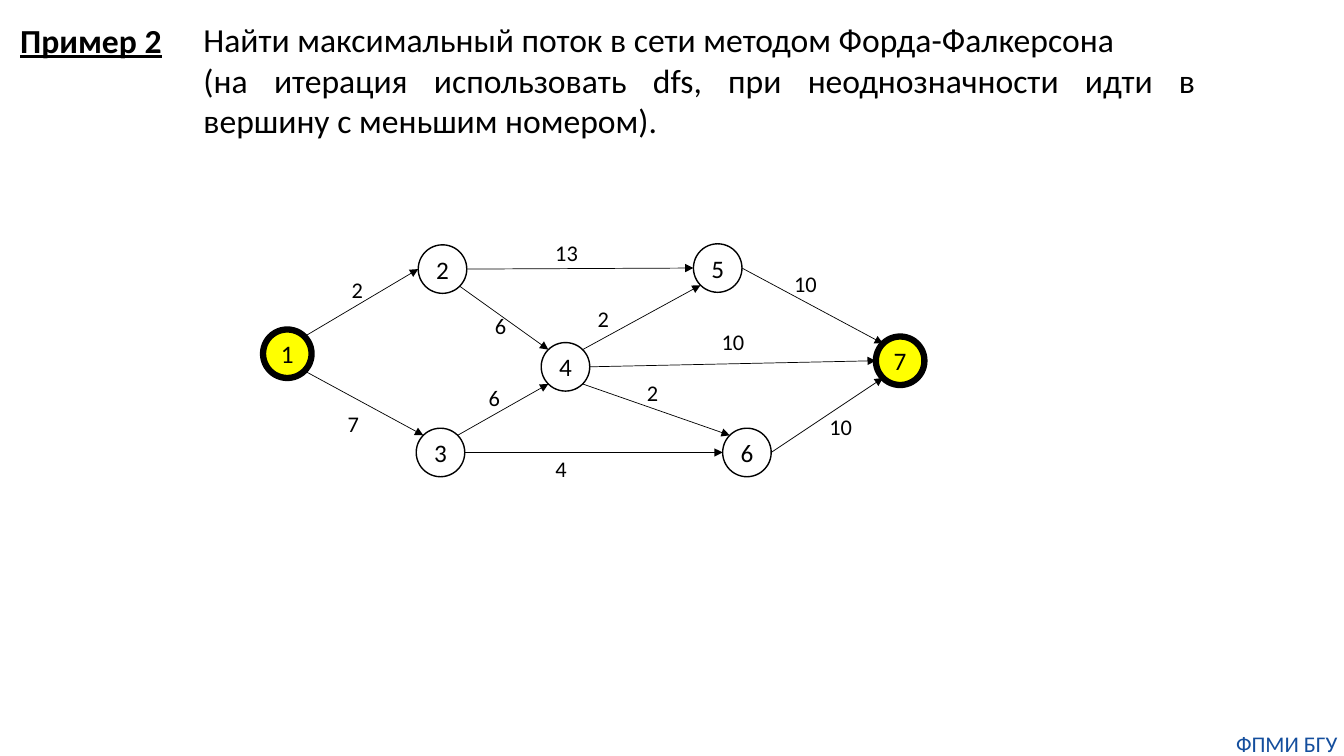
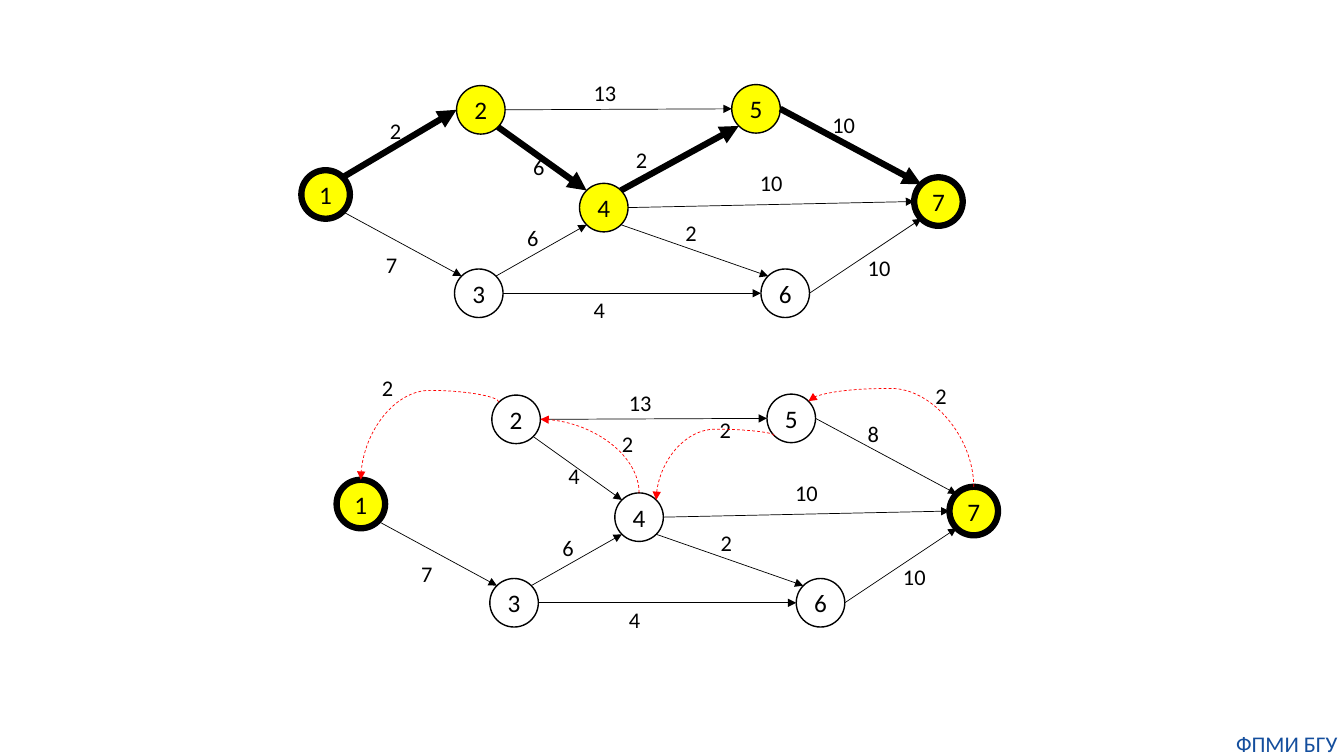
"""Build two slides on finding the maximum flow in a network."""
from dataclasses import dataclass
from math import sqrt

from lxml.etree import SubElement
from pptx import Presentation
from pptx.dml.color import RGBColor
from pptx.enum.dml import MSO_LINE
from pptx.enum.shapes import MSO_CONNECTOR, MSO_SHAPE
from pptx.enum.text import MSO_ANCHOR, PP_ALIGN
from pptx.oxml.ns import qn
from pptx.util import Inches, Pt


@dataclass(frozen=True)
class Theme:
    font: str = "Calibri"
    black: RGBColor = RGBColor(0, 0, 0)
    blue: RGBColor = RGBColor(0x14, 0x4E, 0x9D)
    gold: RGBColor = RGBColor(0xFF, 0xFF, 0)
    red: RGBColor = RGBColor(0xFF, 0, 0)
    head: int = 24
    node: int = 18
    small: int = 16
    thin: float = 0.5
    rim: float = 1
    thick: float = 4.5


theme = Theme()
deck = Presentation()
deck.slide_width, deck.slide_height = Inches(13.33), Inches(7.5)
COLS, SIZE = 160, 5.78
UNIT = deck.slide_width / COLS
HALF = SIZE / 2
DIAG = HALF / sqrt(2)

PORTS = {
    "N": (0, -HALF), "S": (0, HALF), "W": (-HALF, 0), "E": (HALF, 0),
    "NW": (-DIAG, -DIAG), "NE": (DIAG, -DIAG),
    "SW": (-DIAG, DIAG), "SE": (DIAG, DIAG),
}
NODES = {
    1: (34.2, 42.12), 2: (52.68, 32.04), 3: (52.44, 53.88), 4: (67.32, 43.68),
    5: (85.44, 31.92), 6: (88.92, 53.88), 7: (107.16, 42.96),
}
EDGES = [
    (1, "NE", 2, "W", 2, 40.68, 32.28),
    (1, "SE", 3, "NW", 7, 40.2, 48.24),
    (2, "E", 5, "W", 13, 64.92, 27.84),
    (3, "E", 6, "W", 4, 64.92, 53.64),
    (3, "NE", 4, "SW", 6, 57, 45.12),
    (2, "SE", 4, "NW", 6, 57.72, 36.6),
    (4, "NE", 5, "SW", 2, 69.96, 35.76),
    (4, "SE", 6, "NW", 2, 75.84, 44.52),
    (4, "E", 7, "W", 10, 84.72, 38.52),
    (5, "E", 7, "NW", 10, 93.36, 31.56),
    (6, "E", 7, "SW", 10, 97.56, 48.6),
]
BACK = [
    (2, "NW", 1, "N", 2, 35.52, 26.04, "curvedConnector3", 270, "HV", -15200),
    (4, "N", 2, "E", 2, 64.08, 32.76, "curvedConnector2", 270, "V", None),
    (5, "SW", 4, "NE", 2, 75.72, 31.08, "curvedConnector3", 90, "", -9900),
    (7, "N", 5, "NE", 2, 101.4, 27, "curvedConnector3", 270, "V", 114900),
]
ROUTE = [(1, 2), (2, 4), (4, 5), (5, 7)]


def write(frame, lines, size, color, align=PP_ALIGN.LEFT):
    """Fill a text frame, one run to a paragraph."""
    for i, text in enumerate(lines):
        para = frame.paragraphs[0] if i == 0 else frame.add_paragraph()
        para.alignment = align
        run = para.add_run()
        run.text = text
        run.font.name, run.font.size = theme.font, Pt(size)
        run.font.color.rgb = color
    return frame


def place(slide, left, top, wide, high):
    """Add a text box measured in grid columns and rows."""
    return slide.shapes.add_textbox(*(round(v * UNIT) for v in (left, top, wide, high))).text_frame


first = deck.slides.add_slide(deck.slide_layouts[5])
second = deck.slides.add_slide(deck.slide_layouts[6])

for slide in (first, second):
    foot = place(slide, 146.4, 87, 13.56, 3.24)
    foot.margin_left = foot.margin_right = foot.margin_top = foot.margin_bottom = 0
    foot.word_wrap = True
    write(foot, ["ФПМИ БГУ"], theme.small, theme.blue, PP_ALIGN.CENTER)

title = first.shapes.title
title.left, title.top, title.width, title.height = (round(v * UNIT) for v in (1.2, 0.96, 20.64, 8.16))
title.text_frame.vertical_anchor = MSO_ANCHOR.MIDDLE
write(title.text_frame, ["Пример 2"], theme.head, theme.black)
line = title.text_frame.paragraphs[0]
line.line_spacing = 0.9
line.runs[0].font.bold = line.runs[0].font.underline = True

task = place(first, 23.04, 1.68, 120.48, 15.72)
task.word_wrap = True
write(task, [
    "Найти максимальный поток в сети методом Форда-Фалкерсона",
    "(на итерация использовать dfs, при неоднозначности идти в вершину с меньшим номером).",
], theme.head, theme.black)
task.paragraphs[1].alignment = PP_ALIGN.JUSTIFY

rest = {(1, 2): None, (4, 5): None, (2, 4): 4, (5, 7): 8}
graphs = [
    (first, 0, 0, {1, 7}, [], {}, []),
    (second, 4.56, -18.96, {1, 2, 4, 5, 7}, ROUTE, {}, []),
    (second, 8.76, 17.9, {1, 7}, [], rest, BACK),
]

for slide, right, down, lit, route, flow, back in graphs:
    for name, (x, y) in NODES.items():
        spot = (x + right - HALF, y + down - HALF, SIZE, SIZE)
        node = slide.shapes.add_shape(MSO_SHAPE.OVAL, *(round(v * UNIT) for v in spot))
        node.shadow.inherit = False
        if name in lit:
            node.fill.solid()
            node.fill.fore_color.rgb = theme.gold
        else:
            node.fill.background()
        node.line.color.rgb = theme.black
        node.line.width = Pt(theme.thick if name in (1, 7) else theme.rim)
        frame = node.text_frame
        frame.margin_left = frame.margin_right = 0
        frame.vertical_anchor = MSO_ANCHOR.MIDDLE
        write(frame, [str(name)], theme.node, theme.black, PP_ALIGN.CENTER)

    for start, out, end, into, load, left, top, *bend in EDGES + back:
        if not bend:
            load = flow.get((start, end), load)
        if load is None:
            continue
        label = place(slide, left + right, top + down, 3.84 if load < 10 else 5.16, 4.44)
        label.word_wrap = False
        write(label, [str(load)], theme.small, theme.black)

        ends = [NODES[n][k] + PORTS[p][k] + (right, down)[k]
                for n, p in ((start, out), (end, into)) for k in (0, 1)]
        x1, y1, x2, y2 = (round(v * UNIT) for v in ends)
        kind = MSO_CONNECTOR.CURVE if bend else MSO_CONNECTOR.STRAIGHT
        link = slide.shapes.add_connector(kind, x1, y1, x2, y2)
        link.line.color.rgb = theme.red if bend else theme.black
        link.line.width = Pt(theme.thick if (start, end) in route else theme.thin)
        props = link._element.spPr
        if bend:
            link.line.dash_style = MSO_LINE.DASH
            shape, turn, flips, bulge = bend
            wide, high = abs(y2 - y1), abs(x2 - x1)
            link.left, link.top = (x1 + x2 - wide) // 2, (y1 + y2 - high) // 2
            link.width, link.height = wide, high
            frame = props.find(qn("a:xfrm"))
            frame.set("rot", str(turn * 60000))
            for axis in "HV":
                frame.set("flip" + axis, str(int(axis in flips)))
            form = props.find(qn("a:prstGeom"))
            form.set("prst", shape)
            if bulge is not None:
                guides = form.find(qn("a:avLst"))
                if guides is None:
                    guides = SubElement(form, qn("a:avLst"))
                SubElement(guides, qn("a:gd"), name="adj1", fmla=f"val {bulge}")
        SubElement(props.find(qn("a:ln")), qn("a:tailEnd"), type="triangle")
        SubElement(props, qn("a:effectLst"))

deck.save("out.pptx")
